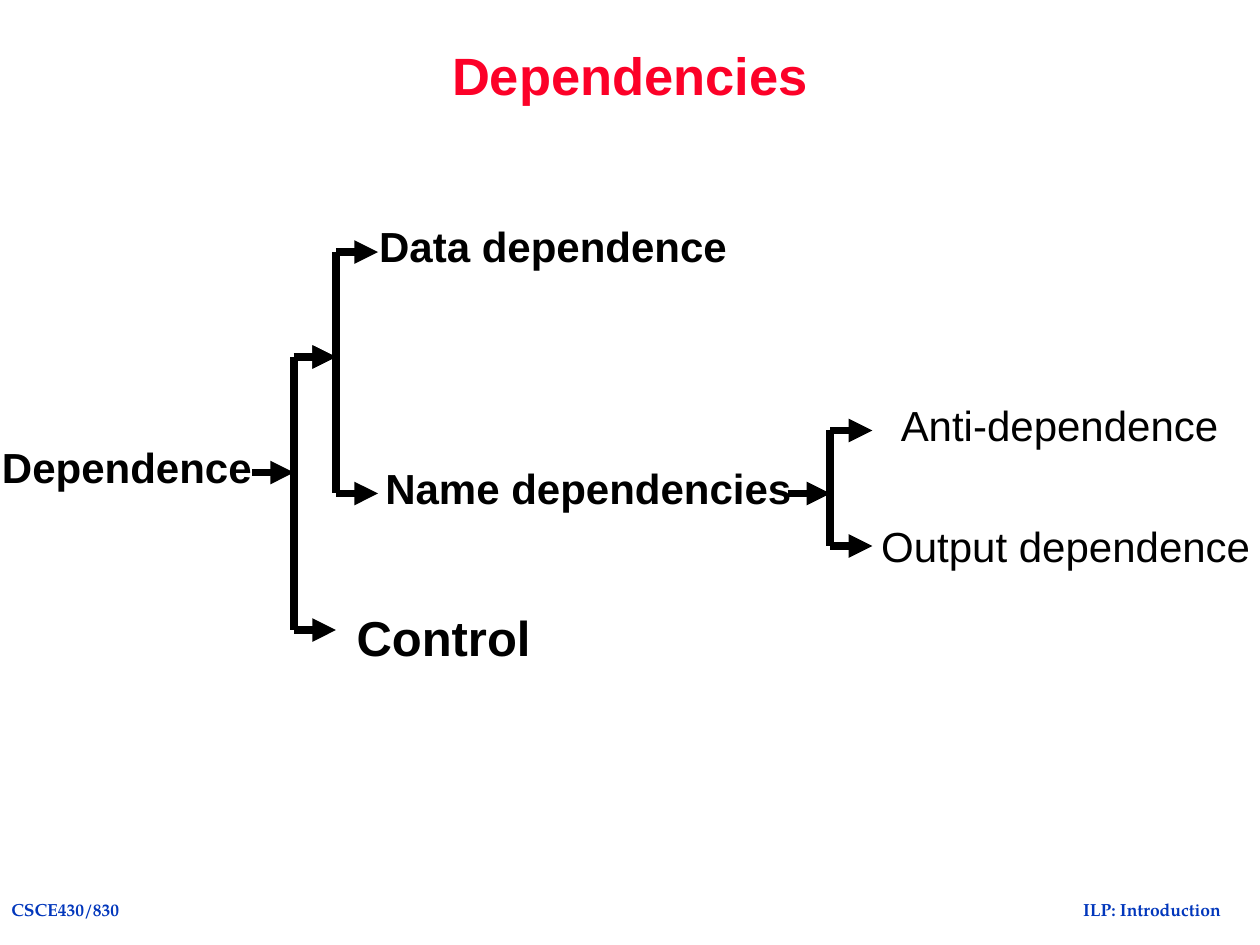
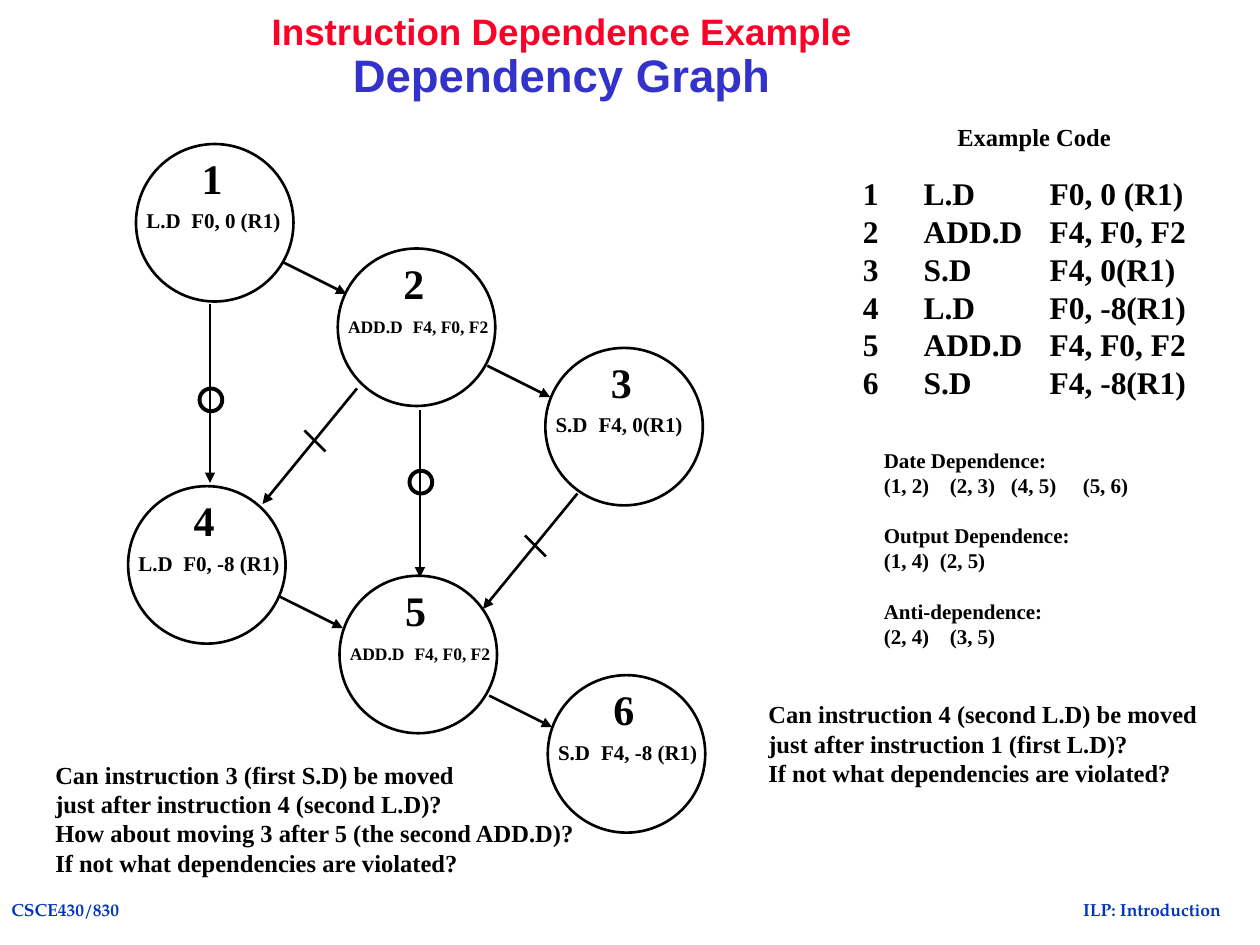
"""Build two slides on instruction dependences."""
import itertools
import pptx
import pptx.util
import pptx.dml.color
import pptx.enum.shapes
import pptx.enum.text
import pptx.oxml.ns
from lxml import etree

Pt = pptx.util.Pt
hue = pptx.dml.color.RGBColor.from_string
qn = pptx.oxml.ns.qn
Align = pptx.enum.text.PP_ALIGN
Anchor = pptx.enum.text.MSO_ANCHOR
Shape = pptx.enum.shapes.MSO_SHAPE

BLACK, RED, BLUE, NAVY = "000000", "FC0128", "3333CC", "0237BC"
SANS, SERIF, FOOT = "Arial", "Times New Roman", "TeX Gyre Pagella"


def write(slide, box, lines, size, face=SERIF, color=BLACK, bold=True,
          center=False, middle=False, wrap=False, pitch=None, stops=((),)):
    """Add a text box with one paragraph per line."""
    frame = slide.shapes.add_textbox(*map(Pt, box)).text_frame
    frame.word_wrap = wrap
    frame.vertical_anchor = Anchor.MIDDLE if middle else Anchor.TOP
    frame.text = lines
    for para, row in zip(frame.paragraphs, itertools.cycle(stops)):
        if row:
            tabs = etree.SubElement(para._p.get_or_add_pPr(), qn("a:tabLst"))
            for stop in row:
                etree.SubElement(tabs, qn("a:tab"), pos=str(Pt(stop)), algn="l")
        para.alignment = Align.CENTER if center else Align.LEFT
        if pitch:
            para.line_spacing = pitch
        for run in para.runs:
            run.font.size = Pt(size)
            run.font.name = face
            run.font.bold = bold
            run.font.color.rgb = hue(color)
    return frame


def link(slide, ends, width, arrow=True):
    """Draw a straight line, with an arrowhead at its end if asked."""
    line = slide.shapes.add_connector(
        pptx.enum.shapes.MSO_CONNECTOR.STRAIGHT, *map(Pt, ends))
    line.line.width = Pt(width)
    line.line.color.rgb = hue(BLACK)
    if arrow:
        etree.SubElement(line.line._get_or_add_ln(), qn("a:tailEnd"), type="triangle")
    etree.SubElement(line._element.spPr, qn("a:effectLst"))


deck = pptx.Presentation()
deck.slide_width, deck.slide_height = Pt(720), Pt(540)
heads = [((78, 0, 564, 90), "Dependencies", 30),
         ((90, 0, 462, 66), "Instruction Dependence Example\vDependency Graph", 21)]
pages = []
for box, text, size in heads:
    page = deck.slides.add_slide(deck.slide_layouts[6])
    write(page, (607.5, 510, 101.5, 18.7), "ILP: Introduction", 10, FOOT, NAVY, center=True)
    write(page, (-1, 510, 76.5, 18.7), "CSCE430/830", 10, FOOT, NAVY, center=True)
    title = write(page, box, text, size, SANS, RED, center=True, middle=True,
                  wrap=True, pitch=0.9)
    pages.append(page)
tree, graph = pages
sub = title.paragraphs[0].runs[1].font
sub.size, sub.color.rgb = Pt(26), hue(BLUE)

names = [("Dependence", (-6, 252.3, 157, 32.4), 24, True),
         ("Data dependence", (209.5, 126, 213, 32.4), 24, True),
         ("Name dependencies", (213, 264.3, 246.5, 32.4), 24, True),
         ("Control", (196.5, 348, 114, 36.7), 28, True),
         ("Anti-dependence", (507.5, 228.3, 196, 32.4), 24, False),
         ("Output dependence", (486, 297.5, 246, 32.4), 24, False)]
for text, box, size, bold in names:
    write(tree, box, text, size, SANS, bold=bold, center=True, middle=True, pitch=0.89,
          wrap=text.startswith("Output"))

forks = [(168, 204, 360, 144, 270), (192, 144, 282, 168, 204), (474.5, 246, 312, 450, 282)]
for x, top, low, root, mid in forks:
    link(tree, (x, top, x, low), 4.5, arrow=False)
    link(tree, (root, mid, x, mid), 4.5)
    for y in (top, low):
        link(tree, (x, y, x + 24, y), 4.5)

nodes = [(77.7, 82.3, "L.D\tF0, 0 (R1)", 12, 25.7),
         (193, 142, "ADD.D\tF4, F0, F2", 10, 37),
         (311.6, 198.8, "S.D\tF4, 0(R1)", 12, 24.6),
         (73.2, 277.8, "L.D\tF0, -8 (R1)", 12, 25.7),
         (194, 329, "ADD.D\tF4, F0, F2", 10, 37),
         (313, 385.8, "S.D\tF4, -8 (R1)", 12, 24.6)]
rings = [(x, y, 90, 1.5) for x, y, *rest in nodes]
rings += [(114, 222, 13, 2.25), (234, 269, 13, 2.25)]
for x, y, side, width in rings:
    ring = graph.shapes.add_shape(Shape.OVAL, Pt(x), Pt(y), Pt(side), Pt(side))
    ring.shadow.inherit = False
    ring.fill.background()
    ring.line.width = Pt(width)
    ring.line.color.rgb = hue(BLACK)
for count, (x, y, text, size, stop) in enumerate(nodes, 1):
    write(graph, (x + 30.4, y + 1.5, 26, 36), str(count), 24)
    write(graph, (x - 1.2, y + 45 - size, 110, 21.6), text, size, wrap=True, stops=[[stop]])

for x, y in [(162, 150), (278.5, 209), (160, 341), (279.5, 397.5)]:
    link(graph, (x, y, x + 36, y + 18), 1.5)
for ends in [(120, 174, 120, 276), (240, 234, 240, 330),
             (204, 222, 150, 288), (330, 282, 276, 348)]:
    link(graph, ends, 1.5)
for x, y in [(174, 246), (300, 306)]:
    link(graph, (x, y, x + 12, y + 12), 1.5, arrow=False)

code = ["L.D\tF0, 0 (R1)", "ADD.D\tF4, F0, F2", "S.D\tF4, 0(R1)",
        "L.D\tF0, -8(R1)", "ADD.D\tF4, F0, F2", "S.D\tF4, -8(R1)"]
write(graph, (540, 66, 102, 24.5), "Example Code", 14)
write(graph, (486, 96, 23, 137), "\n".join("123456"), 18)
write(graph, (520.7, 96, 190, 137), "\n".join(code), 18, wrap=True, stops=[[72]])

pairs = ["Date Dependence:", "(1, 2)\t(2, 3)\t(4, 5)\t(5, 6)",
         "Output Dependence:", "(1, 4)\t(2, 5)",
         "Anti-dependence:", "(2, 4)\t(3, 5)"]
wide = [37.7, 72.6, 113.7]
lists = write(graph, (498, 252, 180, 122.4), "\n".join(pairs), 12, wrap=True,
              stops=[(), wide, (), [32], (), wide])
for para in lists.paragraphs[2::2]:
    para.space_before = Pt(14.4)

asks = [((432, 396, 263, 57.5),
         ["Can instruction 4 (second L.D) be moved",
          "just after instruction 1 (first L.D)?"]),
        ((24.5, 430.5, 312, 75),
         ["Can instruction 3 (first S.D) be moved",
          "just after instruction 4 (second L.D)?",
          "How about moving 3 after 5 (the second ADD.D)?"])]
for box, lines in asks:
    lines.append("If not what dependencies are violated?")
    write(graph, box, "\n".join(lines), 14)

deck.save("out.pptx")
